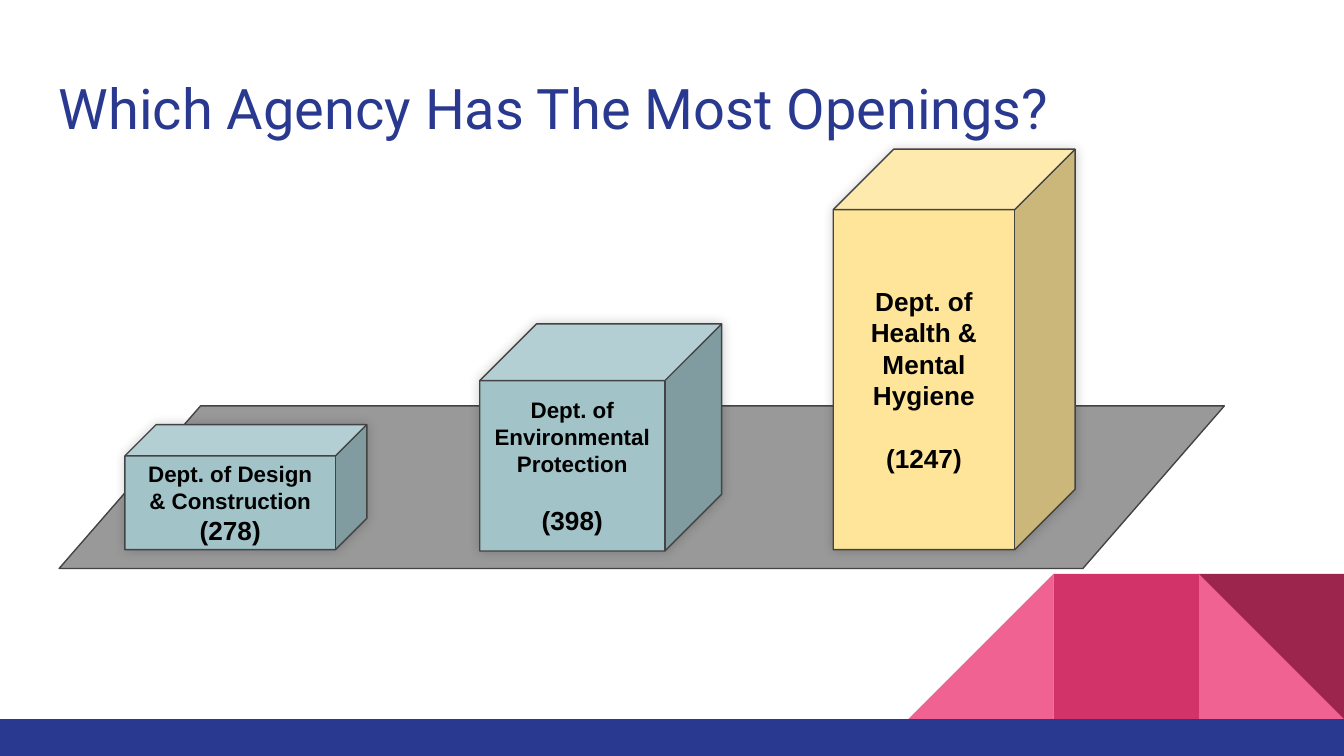
from lxml import etree
from pptx import Presentation
from pptx import util as u
from pptx.dml.color import RGBColor
from pptx.enum import shapes, text
from pptx.oxml.ns import qn

COLORS = {
    "navy": "2A3990", "pink": "F06292", "rose": "D23369", "wine": "9C254D",
    "floor": "999999", "outline": "434343", "teal": "A2C4C9",
    "yellow": "FFE599", "black": "000000",
}
KIND = shapes.MSO_SHAPE


class SlideBuilder:
    def __init__(self, page):
        self.page = page

    def color(self, name):
        return RGBColor.from_string(COLORS[name])

    def shape(self, kind, left, top, width, height, fill, outline=None):
        box = self.page.shapes.add_shape(
            kind, *map(u.Inches, (left, top, width, height)))
        box.shadow.inherit = False
        box.fill.solid()
        box.fill.fore_color.rgb = self.color(fill)
        if outline:
            box.line.color.rgb = self.color(outline)
            box.line.width = u.Pt(0.75)
        else:
            box.line.fill.background()
        return box

    def frame(self, box, anchor):
        frame = box.text_frame
        frame.word_wrap = True
        frame.vertical_anchor = anchor
        frame.margin_left = frame.margin_right = u.Inches(0.1)
        frame.margin_top = frame.margin_bottom = u.Inches(0.1)
        return frame

    def style(self, para, size, font, color, bold=False):
        para.font.size = u.Pt(size)
        para.font.name = font
        para.font.bold = bold
        para.font.color.rgb = self.color(color)

    def title(self, wording):
        box = self.page.shapes.add_textbox(
            *map(u.Inches, (0.34, 0.45, 9.32, 0.66)))
        para = self.frame(box, text.MSO_ANCHOR.TOP).paragraphs[0]
        para.text = wording
        self.style(para, 30, "Roboto", "navy")

    def glow(self, box):
        """Give the shape a soft, faint shadow all around."""
        effects = box._element.spPr.find(qn("a:effectLst"))
        shadow = etree.SubElement(effects, qn("a:outerShdw"), blurRad=str(u.Pt(6)),
                                  dist="0", dir="18900000", algn="bl", rotWithShape="0")
        tint = etree.SubElement(shadow, qn("a:srgbClr"), val=COLORS["black"])
        etree.SubElement(tint, qn("a:alpha"), val="20000")

    def block(self, left, top, height, fill, agency, openings, size, gap):
        box = self.shape(KIND.CUBE, left, top, 1.8, height, fill, "outline")
        self.glow(box)
        frame = self.frame(box, text.MSO_ANCHOR.MIDDLE)
        name, count = frame.paragraphs[0], frame.add_paragraph()
        name.text, count.text = agency, f"({openings})"
        count.space_before = u.Pt(gap)
        for para, points in ((name, size), (count, 14)):
            para.alignment = text.PP_ALIGN.CENTER
            self.style(para, points, "Arial", "black", bold=True)

    def corner(self):
        side, top = 1.08, 4.27
        right, middle, left = (10 - side * n for n in (1, 2, 3))
        self.shape(KIND.RIGHT_TRIANGLE, right, top, side, side, "pink")
        slope = self.shape(KIND.RIGHT_TRIANGLE, left, top, side, side, "pink")
        slope._element.spPr.xfrm.set("flipH", "1")
        self.shape(KIND.RECTANGLE, middle, top, side, side, "rose")
        self.shape(KIND.RIGHT_TRIANGLE, right, top, side, side, "wine").rotation = 180
        self.shape(KIND.RECTANGLE, 0, 5.35, 10, 0.28, "navy")


def main():
    deck = Presentation()
    deck.slide_width = u.Inches(10)
    deck.slide_height = deck.slide_width * 9 // 16
    slide = SlideBuilder(deck.slides.add_slide(deck.slide_layouts[6]))

    slide.corner()
    floor = slide.shape(KIND.PARALLELOGRAM, 0.44, 3.02, 8.67, 1.21, "floor", "outline")
    floor.adjustments[0] = 0.87
    slide.title("Which Agency Has The Most Openings?")
    slide.block(0.93, 3.16, 0.93, "teal", "Dept. of Design & Construction", 278, 12, 0)
    slide.block(3.57, 2.41, 1.69, "teal", "Dept. of Environmental Protection", 398, 12, 14.5)
    slide.block(6.2, 1.11, 2.98, "yellow", "Dept. of Health & Mental Hygiene", 1247, 14, 17)
    deck.save("out.pptx")


if __name__ == "__main__":
    main()
